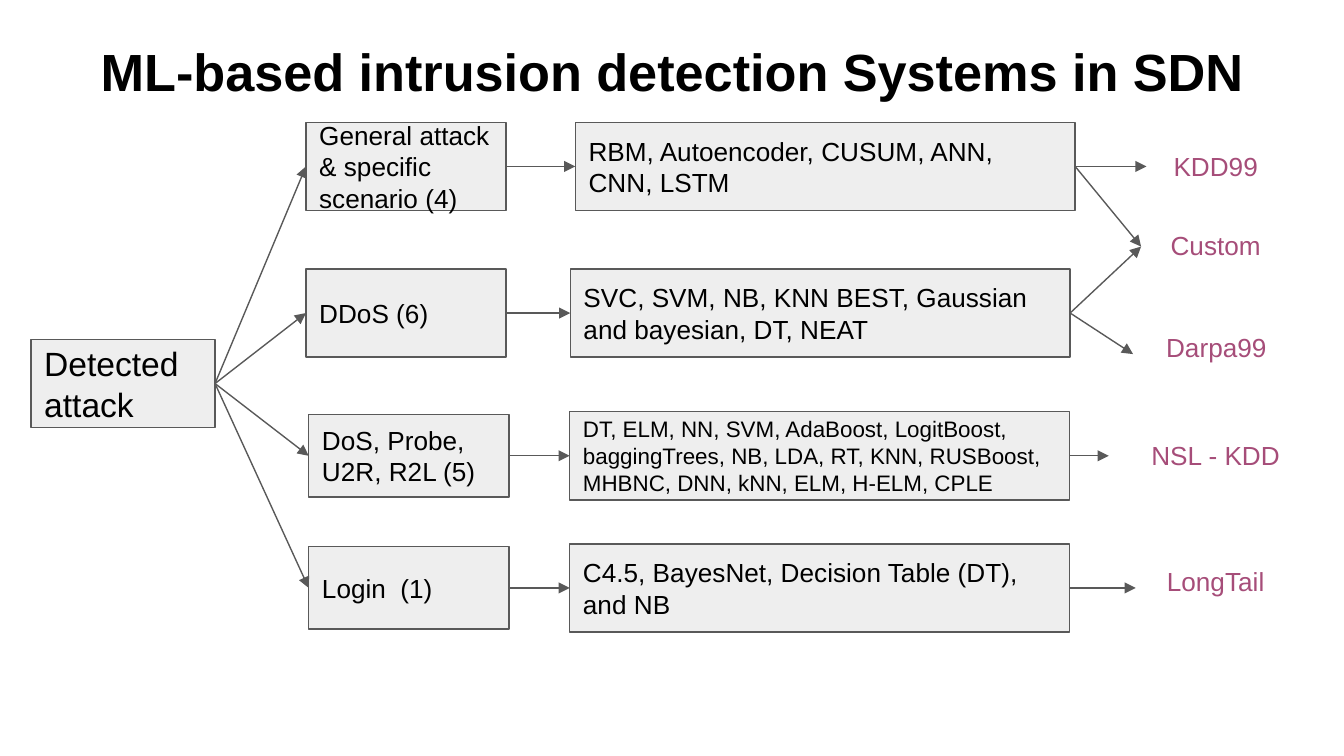
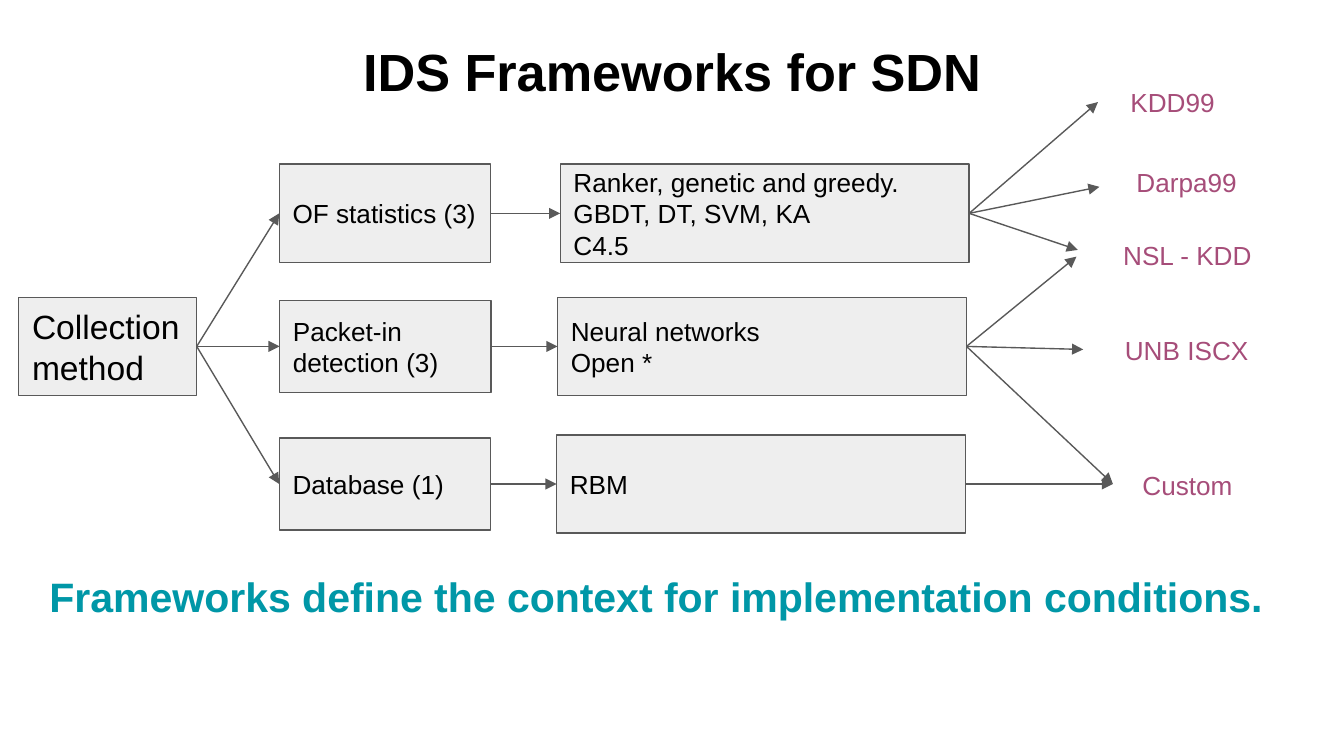
from lxml import etree
from pptx import Presentation
from pptx.dml import color
from pptx.enum import shapes, text
from pptx.oxml import ns
from pptx.util import Pt

INK, FILL, LINE, ROSE, TEAL = "000000", "EEEEEE", "595959", "A64D79", "0097A7"
LEFT, RIGHT = 1, 3  # connection sites of a rectangle
WIDTHS = {"KDD99": 74.2, "Custom": 79.9, "Darpa99": 89.3,
          "NSL - KDD": 114.5, "LongTail": 85.7, "UNB ISCX": 110.9}


def rgb(code):
    return color.RGBColor.from_string(code)


def put(item, **values):
    for name, value in values.items():
        setattr(item, name, value)


class Deck:
    def __init__(self):
        self.show = Presentation()
        put(self.show, slide_width=Pt(720), slide_height=Pt(405))

    def begin(self, words):
        """Start a slide with the given title."""
        self.slide = self.show.slides.add_slide(self.show.slide_layouts[5])
        title = self.slide.shapes.title
        put(title, left=Pt(0), top=Pt(13.7), width=Pt(720), height=Pt(45.4))
        self.letter(title, words, 28, INK, text.PP_ALIGN.CENTER, bold=True, pad=7.2)

    def letter(self, shape, words, size, ink, align, bold=False, pad=3.6,
               anchor=text.MSO_ANCHOR.TOP):
        """Set the text of a shape and its format."""
        frame = shape.text_frame
        frame.text = words
        put(frame, word_wrap=True, auto_size=text.MSO_AUTO_SIZE.NONE,
            vertical_anchor=anchor, margin_left=Pt(7.2), margin_right=Pt(7.2),
            margin_top=Pt(pad), margin_bottom=Pt(pad))
        for para in frame.paragraphs:
            para.alignment = align
            for run in para.runs:
                put(run.font, name="Arial", size=Pt(size), bold=bold)
                run.font.color.rgb = rgb(ink)

    def box(self, words, x, mid, w, h, size=14):
        """Add a grey box centred on the height mid."""
        shape = self.slide.shapes.add_shape(
            shapes.MSO_SHAPE.RECTANGLE, Pt(x), Pt(mid - h / 2), Pt(w), Pt(h))
        shape.shadow.inherit = False
        shape.fill.solid()
        shape.fill.fore_color.rgb = rgb(FILL)
        self.edge(shape)
        self.letter(shape, words, size, INK, text.PP_ALIGN.LEFT, pad=7.2,
                    anchor=text.MSO_ANCHOR.MIDDLE)
        return shape

    def edge(self, shape):
        shape.line.color.rgb = rgb(LINE)
        shape.line.width = Pt(0.75)

    def label(self, words, x, mid, w, h):
        shape = self.slide.shapes.add_textbox(Pt(x), Pt(mid - h / 2), Pt(w), Pt(h))
        self.letter(shape, words, 14, ROSE, text.PP_ALIGN.CENTER)
        return shape

    def note(self, words, x, y, w, h):
        shape = self.slide.shapes.add_textbox(Pt(x), Pt(y), Pt(w), Pt(h))
        self.letter(shape, words, 22, TEAL, text.PP_ALIGN.CENTER, bold=True, pad=7.2)
        put(shape.text_frame.paragraphs[0], line_spacing=1.15, space_after=Pt(16))

    def arrow(self, start, end, tip=None):
        """Join two shapes, or stop at the point tip short of the second."""
        x, y = tip or (0, 0)
        link = self.slide.shapes.add_connector(
            shapes.MSO_CONNECTOR.STRAIGHT, Pt(0), Pt(0), Pt(x), Pt(y))
        link.begin_connect(start, RIGHT)
        if not tip:
            link.end_connect(end, LEFT)
        self.edge(link)
        props = link.element.spPr
        head = etree.SubElement(props.find(ns.qn("a:ln")), ns.qn("a:tailEnd"))
        head.set("type", "triangle")
        etree.SubElement(props, ns.qn("a:effectLst"))

    def tree(self, root, rows, sets, wide, tall):
        """Draw root, its kinds, their methods and the data sets they use."""
        trunk = self.box(*root, size=18)
        marks = {name: self.label(name, x, mid, WIDTHS[name], h)
                 for name, x, mid, h in sets}
        for mid, kind, x, h, methods, far, size, uses in rows:
            near = self.box(kind, x, mid, wide[0], h)
            last = self.box(methods, far, mid, wide[1], tall, size)
            self.arrow(trunk, near)
            self.arrow(near, last)
            for name, tip in uses.items():
                self.arrow(last, marks[name], tip)


def main():
    deck = Deck()
    deck.begin("ML-based intrusion detection Systems in SDN")
    deck.tree(
        ("Detected attack", 16.6, 205.5, 98.6, 47.3),
        [(89.2, "General attack & specific scenario (4)", 163.9, 47.3,
          "RBM, Autoencoder, CUSUM, ANN, CNN, LSTM", 308.2, 14,
          {"KDD99": None, "Custom": None}),
         (167.7, "DDoS (6)", 163.9, 47.3,
          "SVC, SVM, NB, KNN BEST, Gaussian and bayesian, DT, NEAT", 305.5, 14,
          {"Custom": None, "Darpa99": None}),
         (244.2, "DoS, Probe, U2R, R2L (5)", 165.4, 44.2,
          "DT, ELM, NN, SVM, AdaBoost, LogitBoost, baggingTrees, NB, LDA, RT, "
          "KNN, RUSBoost, MHBNC, DNN, kNN, ELM, H-ELM, CPLE", 305.2, 12,
          {"NSL - KDD": None}),
         (315, "Login  (1)", 165.4, 44.2,
          "C4.5, BayesNet, Decision Table (DT), and NB", 305.2, 14,
          {"LongTail": None})],
        [("Darpa99", 607, 189.7, 31), ("Custom", 611.3, 132.1, 25.2),
         ("KDD99", 614.2, 89.2, 24.5), ("NSL - KDD", 594, 244.2, 25.2),
         ("LongTail", 608.4, 315, 31)],
        wide=(107.3, 267.8), tall=47.3)

    deck.begin("IDS Frameworks for SDN")
    deck.tree(
        ("Collection method", 10.1, 185.6, 95.3, 52.6),
        [(114.3, "OF statistics (3)", 149.6, 52.6,
          "Ranker, genetic and greedy.\nGBDT, DT, SVM, KA\nC4.5", 300.1, 14,
          {"KDD99": (588.2, 54.7), "Darpa99": (589, 100.1),
           "NSL - KDD": (577.4, 133.9)}),
         (185.6, "Packet-in detection (3)", 149.8, 49.4,
          "Neural networks\nOpen *", 298.7, 14,
          {"NSL - KDD": (576.7, 137.5), "UNB ISCX": None, "Custom": None}),
         (259.3, "Database (1)", 149.6, 49.4, "RBM", 298.2, 14, {"Custom": None})],
        [("Darpa99", 591.1, 100.1, 28.8), ("Custom", 596.2, 259.3, 23),
         ("KDD99", 591.1, 54, 23), ("NSL - KDD", 578.9, 136.1, 23),
         ("UNB ISCX", 580.3, 187.2, 23)],
        wide=(113.3, 219.1), tall=52.6)
    deck.note("Frameworks define the context for implementation conditions.",
              0, 295.2, 703.4, 60.5)
    deck.show.save("out.pptx")


if __name__ == "__main__":
    main()
